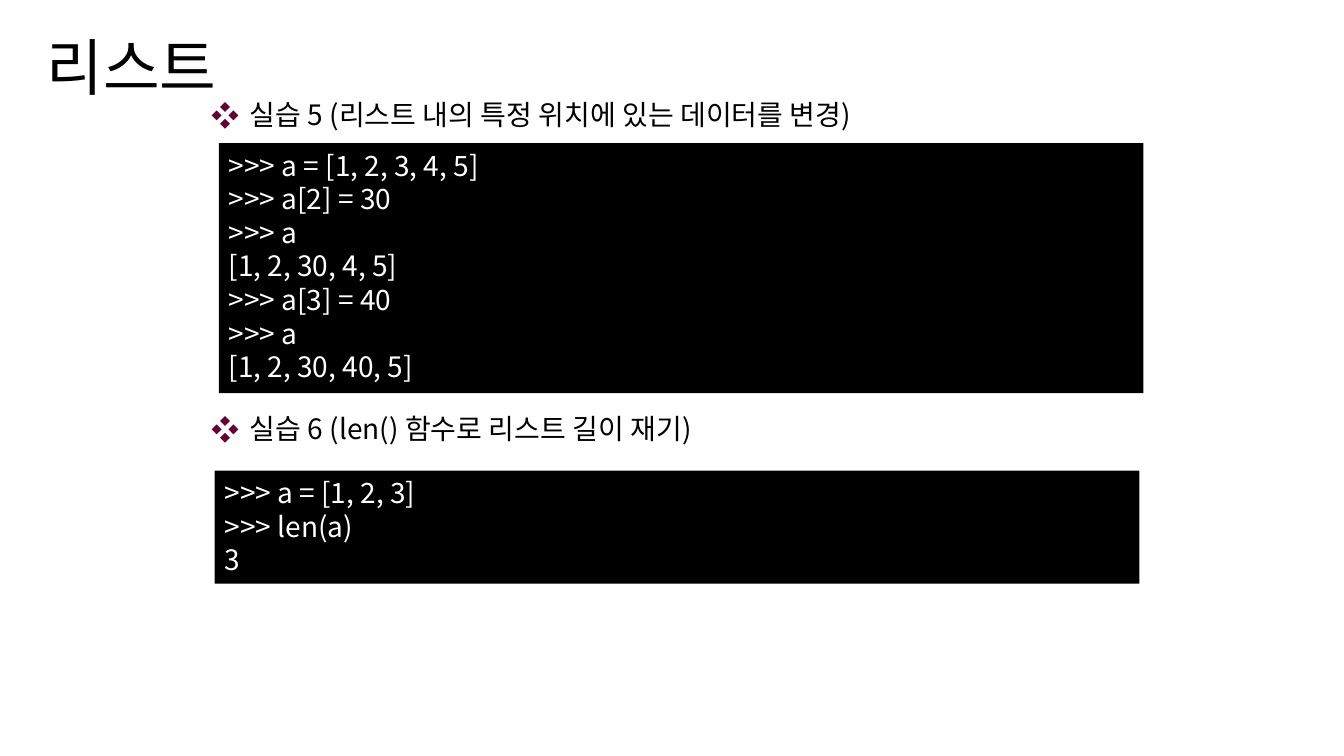
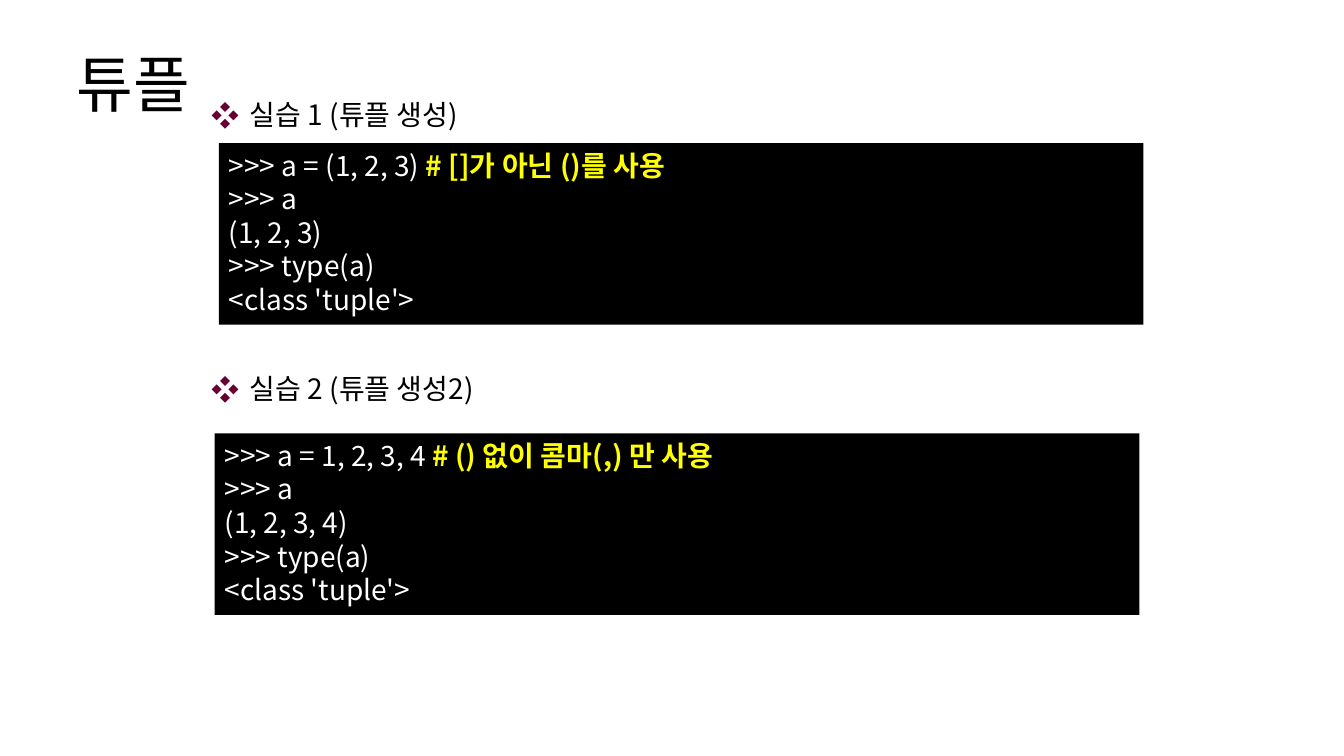
from dataclasses import dataclass

from lxml import etree
from pptx import Presentation
from pptx.dml.color import RGBColor
from pptx.enum.shapes import MSO_SHAPE
from pptx.enum.text import MSO_ANCHOR, MSO_AUTO_SIZE, PP_ALIGN
from pptx.oxml.ns import qn
from pptx.slide import Slide
from pptx.text.text import _Paragraph
from pptx.util import Inches, Pt

RECTANGLE = MSO_SHAPE.RECTANGLE
MIDDLE = MSO_ANCHOR.MIDDLE
TOP = MSO_ANCHOR.TOP
LEFT = PP_ALIGN.LEFT
JUSTIFY = PP_ALIGN.JUSTIFY
NO_AUTOFIT = MSO_AUTO_SIZE.NONE
FIT_SHAPE = MSO_AUTO_SIZE.SHAPE_TO_FIT_TEXT
TITLE_ONLY = 5


@dataclass(frozen=True)
class Theme:
    font: str = "Noto Sans CJK KR"
    text: str = "000000"
    background: str = "FFFFFF"
    code_fill: str = "000000"
    code_text: str = "FFFFFF"
    comment: str = "FFFF00"
    bullet: str = "660033"
    title_size: int = 44
    body_size: int = 20


@dataclass(frozen=True)
class CodeLine:
    code: str
    comment: str = ""


@dataclass(frozen=True)
class Exercise:
    heading: str
    heading_top: float
    code_left: float
    code_top: float
    lines: tuple[CodeLine, ...]


@dataclass(frozen=True)
class Lesson:
    title: str
    title_left: float
    title_top: float
    exercises: tuple[Exercise, ...]


THEME = Theme()
HEADING_LEFT, HEADING_WIDTH, HEADING_HEIGHT = 2, 9.5, 0.44
BULLET_INDENT = 0.38
TITLE_WIDTH, TITLE_HEIGHT = 11.5, 1.45
CODE_WIDTH, LINE_HEIGHT, CODE_PADDING = 9.17, 0.34, 0.1
FIRST_TOP, FIRST_CODE_LEFT, FIRST_CODE_TOP = 0.92, 2.17, 1.42
SECOND_CODE_LEFT = 2.13

LESSONS = (
    Lesson("리스트", 0.36, -0.03, (
        Exercise("실습 5 (리스트 내의 특정 위치에 있는 데이터를 변경)",
                 FIRST_TOP, FIRST_CODE_LEFT, FIRST_CODE_TOP, (
                     CodeLine(">>> a = [1, 2, 3, 4, 5]"),
                     CodeLine(">>> a[2] = 30"),
                     CodeLine(">>> a"),
                     CodeLine("[1, 2, 30, 4, 5]"),
                     CodeLine(">>> a[3] = 40"),
                     CodeLine(">>> a"),
                     CodeLine("[1, 2, 30, 40, 5]"))),
        Exercise("실습 6 (len() 함수로 리스트 길이 재기)",
                 4.03, SECOND_CODE_LEFT, 4.67, (
                     CodeLine(">>> a = [1, 2, 3]"),
                     CodeLine(">>> len(a)"),
                     CodeLine("3"))))),
    Lesson("튜플", 0.66, 0.14, (
        Exercise("실습 1 (튜플 생성)",
                 FIRST_TOP, FIRST_CODE_LEFT, FIRST_CODE_TOP, (
                     CodeLine(">>> a = (1, 2, 3) ", "# []가 아닌 ()를 사용"),
                     CodeLine(">>> a"),
                     CodeLine("(1, 2, 3)"),
                     CodeLine(">>> type(a)"),
                     CodeLine("<class 'tuple'>"))),
        Exercise("실습 2 (튜플 생성2)",
                 3.64, SECOND_CODE_LEFT, 4.3, (
                     CodeLine(">>> a = 1, 2, 3, 4 ", "# () 없이 콤마(,) 만 사용"),
                     CodeLine(">>> a"),
                     CodeLine("(1, 2, 3, 4)"),
                     CodeLine(">>> type(a)"),
                     CodeLine("<class 'tuple'>"))))),
)


def add_text(paragraph: _Paragraph, text: str, *, color: str = THEME.text,
             size: int = THEME.body_size, bold: bool = False) -> None:
    run = paragraph.add_run()
    run.text = text
    font = run.font
    font.size = Pt(size)
    font.bold = bold
    font.color.rgb = RGBColor.from_string(color)
    font.name = THEME.font
    properties = run._r.get_or_add_rPr()
    etree.SubElement(properties, qn("a:ea"), typeface=THEME.font)


def add_bullet(paragraph: _Paragraph) -> None:
    properties = paragraph._p.get_or_add_pPr()
    properties.set("marL", str(Inches(BULLET_INDENT)))
    properties.set("indent", str(-Inches(BULLET_INDENT)))
    color = etree.SubElement(properties, qn("a:buClr"))
    etree.SubElement(color, qn("a:srgbClr"), val=THEME.bullet)
    etree.SubElement(properties, qn("a:buFont"), typeface=THEME.font)
    etree.SubElement(properties, qn("a:buChar"), char="❖")


def place_title(slide: Slide, lesson: Lesson) -> None:
    title = slide.shapes.title
    title.left, title.top = Inches(lesson.title_left), Inches(lesson.title_top)
    title.width, title.height = Inches(TITLE_WIDTH), Inches(TITLE_HEIGHT)
    frame = title.text_frame
    frame.auto_size = NO_AUTOFIT
    frame.vertical_anchor = MIDDLE
    paragraph = frame.paragraphs[0]
    paragraph.alignment = LEFT
    paragraph.line_spacing = 0.9
    add_text(paragraph, lesson.title, size=THEME.title_size)


def add_heading(slide: Slide, exercise: Exercise) -> None:
    heading = slide.shapes.add_textbox(
        Inches(HEADING_LEFT), Inches(exercise.heading_top),
        Inches(HEADING_WIDTH), Inches(HEADING_HEIGHT))
    heading.text_frame.word_wrap = True
    paragraph = heading.text_frame.paragraphs[0]
    add_bullet(paragraph)
    add_text(paragraph, exercise.heading)


def add_code(slide: Slide, exercise: Exercise) -> None:
    height = CODE_PADDING + LINE_HEIGHT * len(exercise.lines)
    box = slide.shapes.add_shape(
        RECTANGLE, Inches(exercise.code_left), Inches(exercise.code_top),
        Inches(CODE_WIDTH), Inches(height))
    box.shadow.inherit = False
    box.fill.solid()
    box.fill.fore_color.rgb = RGBColor.from_string(THEME.code_fill)
    box.line.fill.background()
    frame = box.text_frame
    frame.word_wrap = True
    frame.auto_size = FIT_SHAPE
    frame.vertical_anchor = TOP
    for index, line in enumerate(exercise.lines):
        paragraph = frame.add_paragraph() if index else frame.paragraphs[0]
        paragraph.alignment = JUSTIFY
        add_text(paragraph, line.code, color=THEME.code_text)
        if line.comment:
            add_text(paragraph, line.comment, color=THEME.comment, bold=True)


def main() -> None:
    presentation = Presentation()
    presentation.slide_width = Inches(13.33)
    presentation.slide_height = Inches(7.5)
    background = presentation.slide_master.background.fill
    background.solid()
    background.fore_color.rgb = RGBColor.from_string(THEME.background)
    for lesson in LESSONS:
        slide = presentation.slides.add_slide(presentation.slide_layouts[TITLE_ONLY])
        place_title(slide, lesson)
        for exercise in lesson.exercises:
            add_heading(slide, exercise)
            add_code(slide, exercise)
    presentation.save("out.pptx")


if __name__ == "__main__":
    main()
